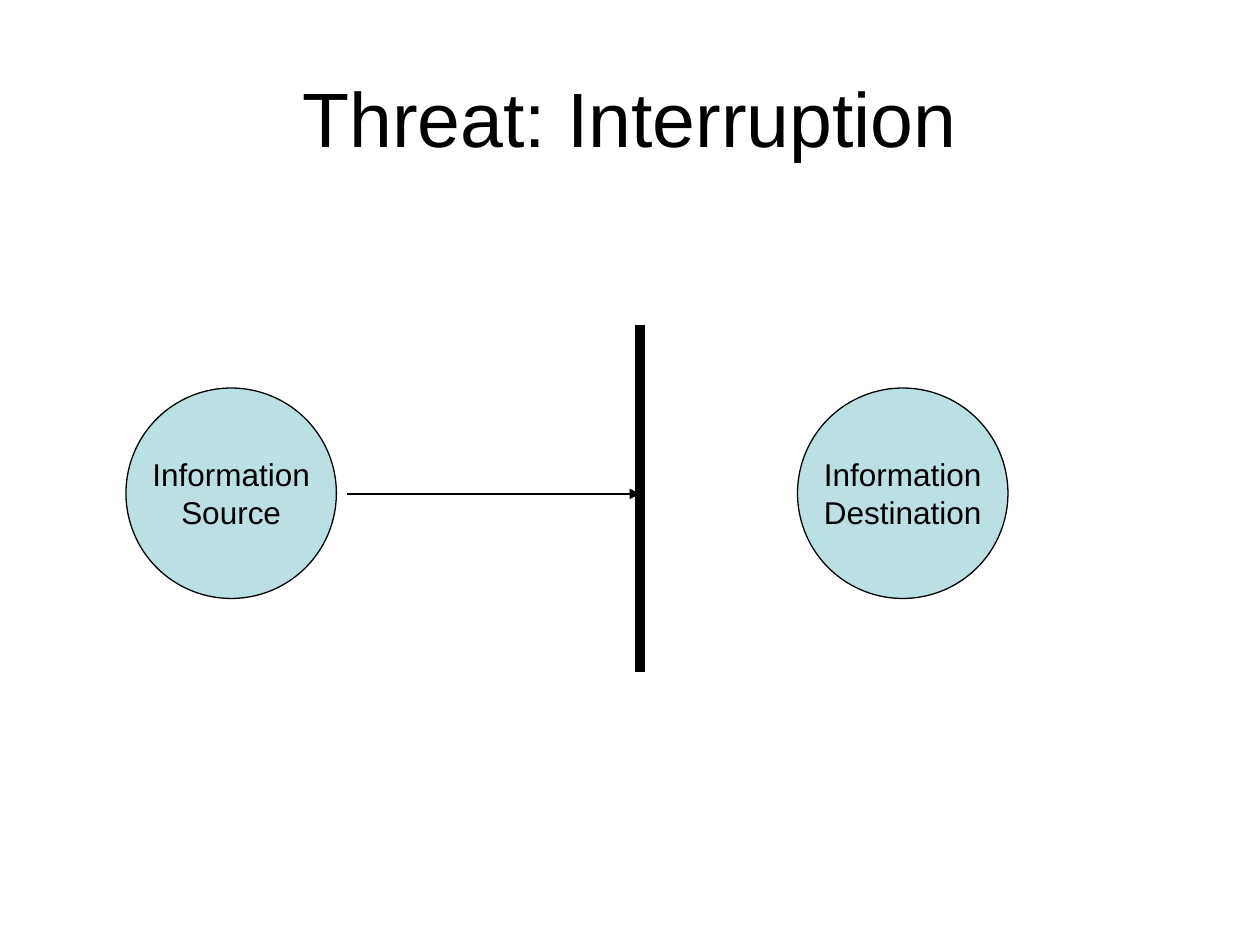
from pptx import Presentation
from pptx.dml.color import RGBColor
from pptx.enum.shapes import MSO_CONNECTOR, MSO_SHAPE
from pptx.enum.text import MSO_ANCHOR, PP_ALIGN
from pptx.oxml.ns import qn
from pptx.util import Inches, Pt
from lxml.etree import SubElement

# Content
TITLE = "Threat: Interruption"
NODES = [  # left edge, lines of text
    (1, ["Information", "Source"]),
    (6.33, ["Information", "Destination"]),
]
BLACK, PALE_BLUE = "000000", "BBE0E3"

# Layout in inches
DIAMETER = 1.67
NODE_TOP = 3.08
FLOW_Y = 3.92
BARRIER_X, BARRIER_TOP, BARRIER_BOTTOM = 5.08, 2.58, 5.33
FLOW_START = 2.75


def color(value):
    return RGBColor.from_string(value)


def write_text(shape, lines, size=18, wrap=True, font="Arial", fill=BLACK):
    frame = shape.text_frame
    frame.word_wrap = wrap
    frame.vertical_anchor = MSO_ANCHOR.MIDDLE
    for index, line in enumerate(lines):
        paragraph = frame.paragraphs[0] if index == 0 else frame.add_paragraph()
        paragraph.alignment = PP_ALIGN.CENTER
        run = paragraph.add_run()
        run.text = line
        run.font.size = Pt(size)
        run.font.name = font
        run.font.color.rgb = color(fill)


def add_node(slide, left, lines):
    circle = slide.shapes.add_shape(
        MSO_SHAPE.OVAL, Inches(left), Inches(NODE_TOP), Inches(DIAMETER), Inches(DIAMETER))
    circle.shadow.inherit = False
    circle.fill.solid()
    circle.fill.fore_color.rgb = color(PALE_BLUE)
    circle.line.color.rgb = color(BLACK)
    circle.line.width = Pt(0.75)
    write_text(circle, lines, wrap=False)


def add_line(slide, start, end, width, arrow=False):
    points = [Inches(value) for value in (*start, *end)]
    connector = slide.shapes.add_connector(MSO_CONNECTOR.STRAIGHT, *points)
    connector.line.color.rgb = color(BLACK)
    connector.line.width = Pt(width)
    if arrow:
        SubElement(connector.line._get_or_add_ln(), qn("a:tailEnd"), type="triangle")
    SubElement(connector._element.spPr, qn("a:effectLst"))


def main():
    presentation = Presentation()
    presentation.slide_width, presentation.slide_height = Inches(10), Inches(7.5)
    slide = presentation.slides.add_slide(presentation.slide_layouts[6])

    # Title
    title = slide.shapes.add_textbox(Inches(0.5), Inches(0.3), Inches(9), Inches(1.25))
    write_text(title, [TITLE], size=44)

    # Source and destination
    for left, lines in NODES:
        add_node(slide, left, lines)

    # Flow stopped by the barrier
    add_line(slide, (FLOW_START, FLOW_Y), (BARRIER_X, FLOW_Y), 0.75, arrow=True)
    add_line(slide, (BARRIER_X, BARRIER_TOP), (BARRIER_X, BARRIER_BOTTOM), 6)

    presentation.save("out.pptx")


if __name__ == "__main__":
    main()
